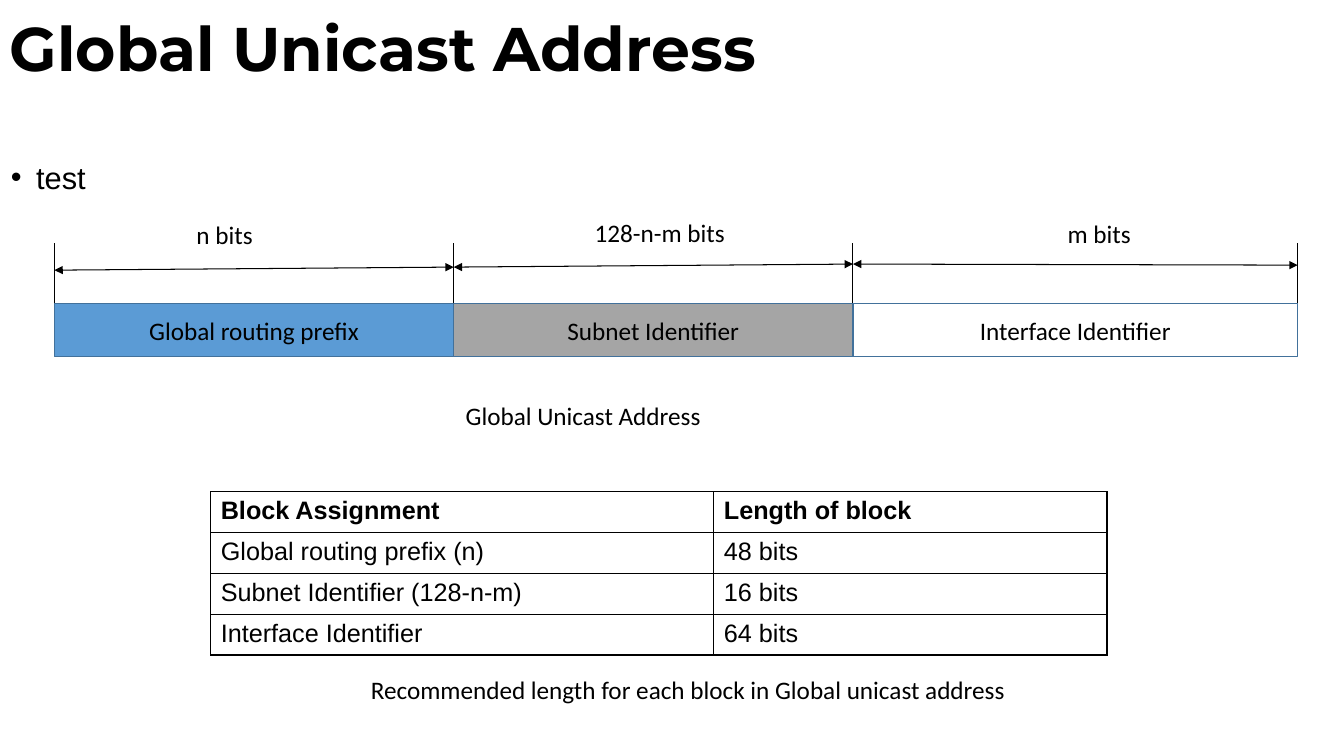
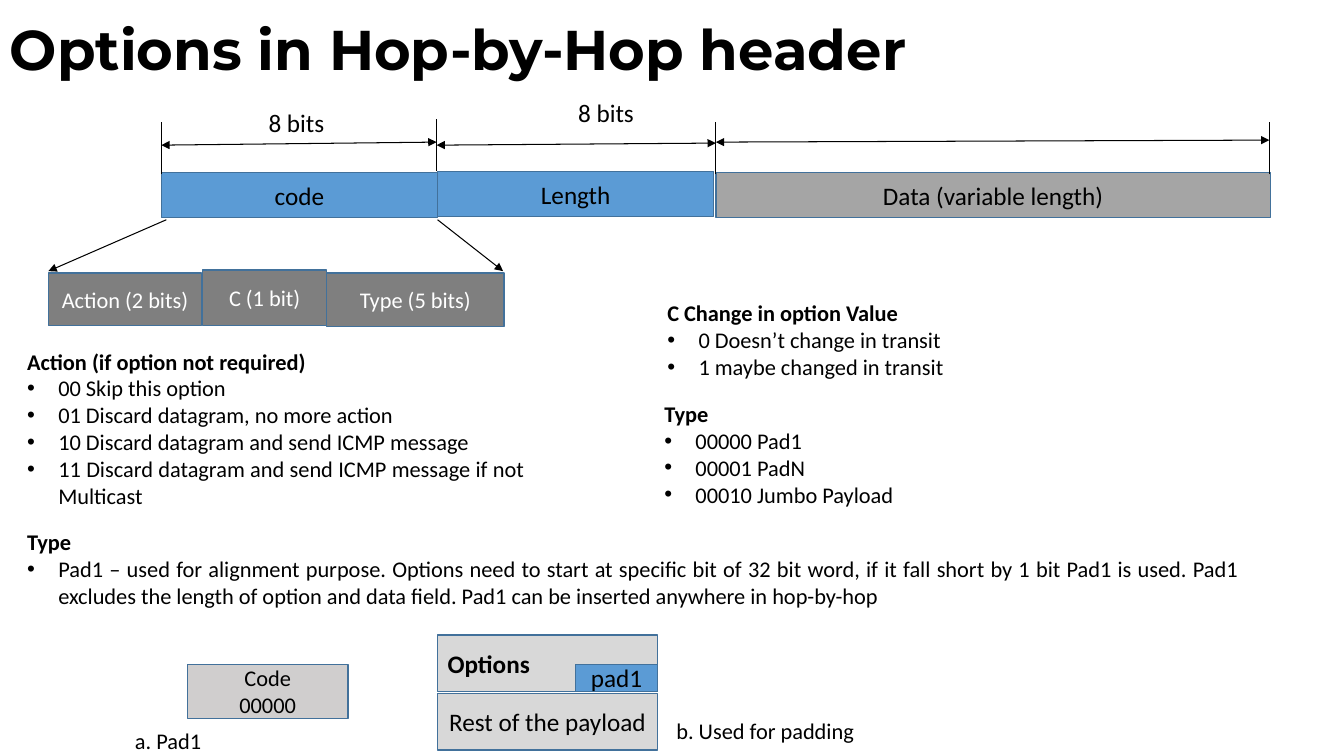
from itertools import pairwise

from lxml.etree import SubElement as Sub
from pptx import Presentation as Deck
from pptx.dml.color import RGBColor as Color
from pptx.enum.shapes import MSO_CONNECTOR as Wire, MSO_SHAPE as Form
from pptx.enum.text import MSO_ANCHOR as Anchor, PP_ALIGN as Align
from pptx.oxml.ns import qn
from pptx.util import Inches, Pt

BLACK = Color(0x00, 0x00, 0x00)
WHITE = Color(0xFF, 0xFF, 0xFF)
BLUE = Color(0x5B, 0x9B, 0xD5)
EDGE = Color(0x42, 0x71, 0x9B)
GREY = Color(0xA5, 0xA5, 0xA5)
DARK = Color(0x7F, 0x7F, 0x7F)
PALE = Color(0xD8, 0xD8, 0xD8)
WARM = Color(0xD0, 0xCE, 0xCE)
HEAD, BODY, PLAIN = "Montserrat", "Calibri", "Arial"


# Text
def write(para, text, size=18, font=BODY, color=BLACK, bold=False):
    run = para.add_run()
    run.text = text
    run.font.size = Pt(size)
    run.font.name = font
    run.font.bold = bold
    run.font.color.rgb = color


def bullet(para, indent):
    props = para._p.get_or_add_pPr()
    props.set("marL", str(Inches(indent)))
    props.set("indent", str(-Inches(indent)))
    Sub(props, qn("a:buFont"), typeface="Arial")
    Sub(props, qn("a:buChar"), char="•")


def frame(slide, left, top, width, height):
    text = slide.shapes.add_textbox(
        Inches(left), Inches(top), Inches(width), Inches(height)).text_frame
    text.word_wrap = True
    return text


def title(slide, text, size):
    head = frame(slide, 0, 0, 11.08, 1.03)
    head.vertical_anchor = Anchor.MIDDLE
    para = head.paragraphs[0]
    para.line_spacing = 0.9
    write(para, text, size, HEAD, bold=True)


def label(slide, left, top, width, text, size=18, align=Align.LEFT):
    para = frame(slide, left, top, width, 0.4).paragraphs[0]
    para.alignment = align
    write(para, text, size)


def notes(slide, left, top, width, height, head, items):
    text = frame(slide, left, top, width, height)
    para = text.paragraphs[0]
    para.alignment = Align.JUSTIFY
    write(para, head, 16, bold=True)
    for item in items:
        para = text.add_paragraph()
        para.alignment = Align.JUSTIFY
        bullet(para, 0.31)
        write(para, item, 16)


# Boxes and lines
def box(slide, left, top, width, height, fill, lines, size=18,
        color=BLACK, bold=False, align=Align.CENTER):
    shape = slide.shapes.add_shape(
        Form.RECTANGLE, Inches(left), Inches(top), Inches(width), Inches(height))
    shape.shadow.inherit = False
    shape.fill.solid()
    shape.fill.fore_color.rgb = fill
    shape.line.color.rgb = EDGE
    shape.line.width = Pt(1)
    text = shape.text_frame
    text.vertical_anchor = Anchor.MIDDLE
    for row, line in enumerate(lines.split("\n")):
        para = text.add_paragraph() if row else text.paragraphs[0]
        para.alignment = align
        write(para, line, size, color=color, bold=bold)


def line(slide, start, end, *tips):
    wire = slide.shapes.add_connector(
        Wire.STRAIGHT, *(Inches(value) for value in (*start, *end)))
    wire.line.color.rgb = BLACK
    wire.line.width = Pt(0.75)
    props = wire._element.spPr
    for tip in tips:
        Sub(props.find(qn("a:ln")), qn(f"a:{tip}"), type="triangle")
    Sub(props, qn("a:effectLst"))


def ruler(slide, ticks, height, spans):
    """Draw a tick at each (x, top) and a double arrow between neighbours."""
    for x, top in ticks:
        line(slide, (x, top + height), (x, top))
    for ((left, _), (right, _)), (start, end) in zip(pairwise(ticks), spans):
        line(slide, (left, start), (right, end), "headEnd", "tailEnd")


# Table
def border(cell):
    props = cell._tc.get_or_add_tcPr()
    for side in ("lnL", "lnR", "lnT", "lnB"):
        edge = Sub(props, qn(f"a:{side}"), w=str(Pt(1)))
        Sub(Sub(edge, qn("a:solidFill")), qn("a:srgbClr"), val=str(BLACK))


def grid(slide, left, top, widths, height, rows):
    table = slide.shapes.add_table(
        len(rows), len(widths), Inches(left), Inches(top),
        Inches(sum(widths)), Inches(height * len(rows))).table
    table.first_row = table.horz_banding = False
    for column, width in zip(table.columns, widths):
        column.width = Inches(width)
    for r, row in enumerate(rows):
        for c, text in enumerate(row):
            cell = table.cell(r, c)
            border(cell)
            cell.fill.background()
            write(cell.text_frame.paragraphs[0], text, font=PLAIN, bold=r == 0)


# Slides
def unicast(slide):
    title(slide, "Global Unicast Address", 44)
    para = frame(slide, 0.01, 1.34, 13.32, 6.16).paragraphs[0]
    para.alignment = Align.JUSTIFY
    para.line_spacing = 1.5
    bullet(para, 0.25)
    write(para, "test", 22, PLAIN)

    # Address fields with their lengths
    edges = (0.54, 4.5, 8.46, 12.87)
    fields = (("Global routing prefix", BLUE), ("Subnet Identifier", GREY),
              ("Interface Identifier", WHITE))
    for (left, right), (text, fill) in zip(pairwise(edges), fields):
        box(slide, left, 3.01, right - left, 0.53, fill, text)
    ruler(slide, [(x, 2.41) for x in edges], 0.6,
          pairwise((2.68, 2.65, 2.62, 2.63)))
    label(slide, 1.85, 2.13, 1.35, "n bits")
    label(slide, 5.8, 2.11, 2.11, "128-n-m bits")
    label(slide, 10.49, 2.12, 1.35, "m bits")
    label(slide, 4.52, 3.92, 2.56, "Global Unicast Address")

    # Recommended lengths
    grid(slide, 2.09, 4.88, (4.99, 3.9), 0.405, (
        ("Block Assignment", "Length of block"),
        ("Global routing prefix (n)", "48 bits"),
        ("Subnet Identifier (128-n-m)", "16 bits"),
        ("Interface Identifier", "64 bits")))
    label(slide, 3.58, 6.64, 6.57,
          "Recommended length for each block in Global unicast address")


def options(slide):
    title(slide, "Options in Hop-by-Hop header", 40)

    # Option fields
    box(slide, 1.6, 1.71, 2.74, 0.45, BLUE, "code")
    box(slide, 7.1, 1.71, 5.5, 0.45, GREY, "Data (variable length)")
    box(slide, 4.34, 1.7, 2.74, 0.45, BLUE, "Length")
    ruler(slide, ((1.6, 1.21), (4.33, 1.18), (7.1, 1.21), (12.59, 1.21)), 0.52,
          ((1.44, 1.41), (1.44, 1.42), (1.41, 1.39)))
    for left, top in ((2, 1.02), (5.07, 0.92)):
        label(slide, left, top, 1.88, "8 bits", align=Align.CENTER)

    # Parts of the code field
    for left, top, width, height, text in (
            (0.48, 2.71, 1.52, 0.52, "Action (2 bits)"),
            (3.24, 2.71, 1.76, 0.53, "Type (5 bits)"),
            (2.01, 2.68, 1.23, 0.55, "C (1 bit)")):
        box(slide, left, top, width, height, DARK, text, 16, WHITE)
    line(slide, (1.65, 2.18), (0.48, 2.69), "tailEnd")
    line(slide, (4.34, 2.18), (4.99, 2.69), "tailEnd")

    # Meaning of each part
    notes(slide, 0.17, 3.4, 5.13, 1.99, "Action (if option not required)", (
        "00 Skip this option",
        "01 Discard datagram, no more action",
        "10 Discard datagram and send ICMP message",
        "11 Discard datagram and send ICMP message if not Multicast"))
    notes(slide, 6.52, 2.92, 5.13, 0.91, "C Change in option Value", (
        "0 Doesn’t change in transit", "1 maybe changed in transit"))
    notes(slide, 6.49, 3.92, 5.13, 1.18, "Type", (
        "00000 Pad1", "00001 PadN", "00010 Jumbo Payload"))
    notes(slide, 0.17, 5.19, 12.22, 0.91, "Type", (
        "Pad1 – used for alignment purpose. Options need to start at specific "
        "bit of 32 bit word, if it fall short by 1 bit Pad1 is used. Pad1 "
        "excludes the length of option and data field. Pad1 can be inserted "
        "anywhere in hop-by-hop",))

    # Padding examples
    box(slide, 1.86, 6.59, 1.59, 0.54, WARM, "Code\n00000", 16)
    box(slide, 4.34, 6.3, 2.18, 0.56, PALE, "Options", bold=True,
        align=Align.LEFT)
    box(slide, 4.34, 6.88, 2.18, 0.56, PALE, "Rest of the payload")
    box(slide, 5.71, 6.59, 0.81, 0.27, BLUE, "pad1")
    label(slide, 1.24, 7.16, 2.3, "a. Pad1", 16)
    label(slide, 6.61, 7.07, 2.3, "b. Used for padding", 16)


def main():
    deck = Deck()
    deck.slide_width, deck.slide_height = Inches(13.33), Inches(7.5)
    for build in (unicast, options):
        build(deck.slides.add_slide(deck.slide_layouts[6]))
    deck.save("out.pptx")


if __name__ == "__main__":
    main()
